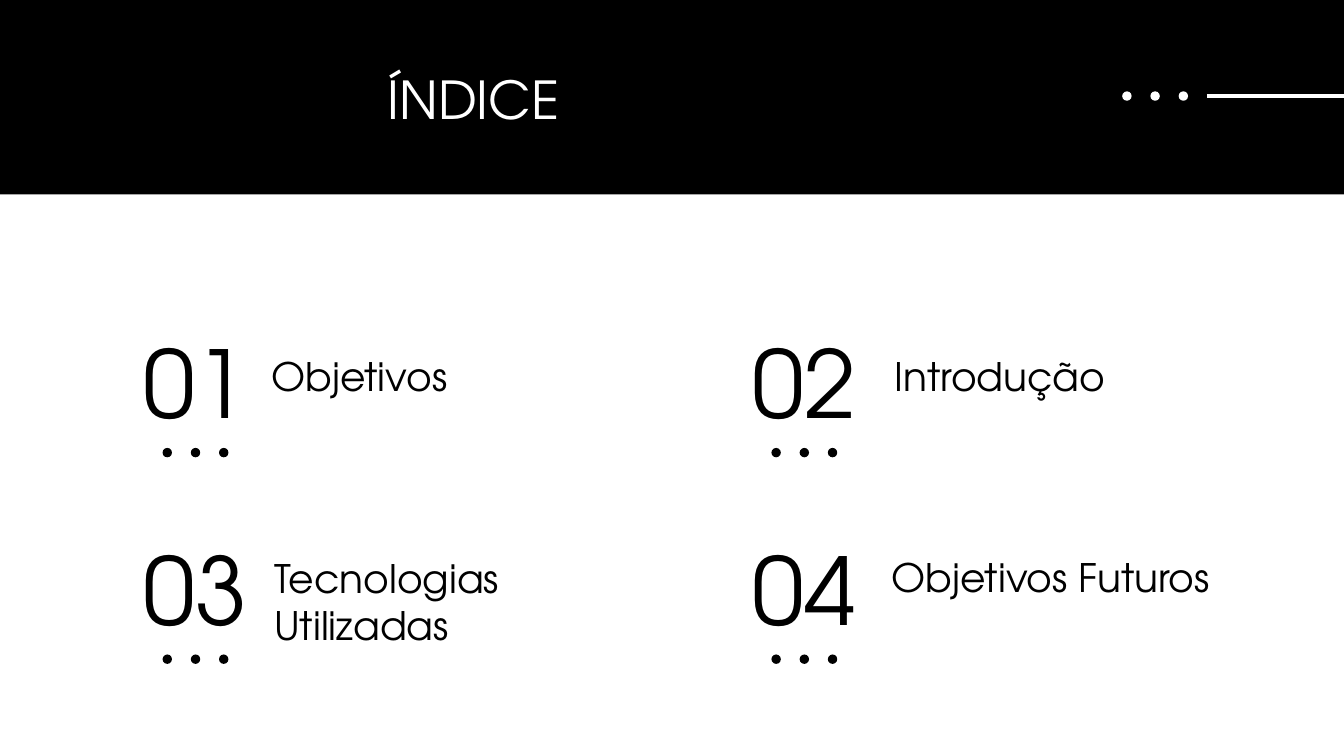
from lxml import etree
from pptx import Presentation
from pptx.dml.color import RGBColor
from pptx.enum.shapes import MSO_CONNECTOR, MSO_SHAPE
from pptx.enum.text import MSO_ANCHOR, MSO_AUTO_SIZE, PP_ALIGN
from pptx.oxml.ns import qn
from pptx.util import Inches, Pt

RECTANGLE, OVAL = MSO_SHAPE.RECTANGLE, MSO_SHAPE.OVAL
STRAIGHT = MSO_CONNECTOR.STRAIGHT
TOP, BOTTOM = MSO_ANCHOR.TOP, MSO_ANCHOR.BOTTOM
LEFT, CENTER = PP_ALIGN.LEFT, PP_ALIGN.CENTER
FIXED = MSO_AUTO_SIZE.NONE
COMPARISON = 4
BLACK, WHITE = "000000", "FFFFFF"
FONT = "TeX Gyre Adventor"
CELL = Inches(0.1)
COLUMNS, ROWS = 100, 56.25


def color(value):
    """Turn a hex string into a colour."""
    return RGBColor.from_string(value)


def apply(target, values):
    """Set each attribute of the target from a dict."""
    for name, value in values.items():
        setattr(target, name, value)


def cells(*lengths):
    """Turn grid cells into slide lengths."""
    return [round(length * CELL) for length in lengths]


class IndexSlide:
    """Hold the style and the current slide."""

    def __init__(self, presentation):
        """Add a slide with a title and four text placeholders."""
        self.slide = presentation.slides.add_slide(presentation.slide_layouts[COMPARISON])
        self.shapes = self.slide.shapes

    def text(self, shape, box, words, size, ink=BLACK, align=LEFT, anchor=TOP, indent=0):
        """Place and format one text shape."""
        apply(shape, dict(zip(("left", "top", "width", "height"), cells(*box))))
        frame = shape.text_frame
        margins = dict.fromkeys(
            ("margin_left", "margin_top", "margin_right", "margin_bottom"), CELL)
        apply(frame, {"text": words, "word_wrap": True, "auto_size": FIXED,
                      "vertical_anchor": anchor, **margins})
        paragraph = frame.paragraphs[0]
        apply(paragraph, {"alignment": align, "line_spacing": 1.0,
                          "space_before": Pt(0), "space_after": Pt(0)})
        properties = paragraph._p.get_or_add_pPr()
        properties.set("marL", str(cells(indent)[0]))
        properties.set("indent", "0")
        etree.SubElement(properties, qn("a:buNone"))
        font = paragraph.runs[0].font
        apply(font, {"name": FONT, "size": Pt(size), "bold": False})
        font.color.rgb = color(ink)

    def title(self, words, box, indent):
        """Fill the title placeholder."""
        self.text(self.shapes.title, box, words, 28, WHITE, indent=indent)

    def label(self, index, words, box):
        """Fill one text placeholder with an index entry."""
        self.text(self.slide.placeholders[index], box, words, 21)

    def number(self, words, box):
        """Add a large entry number."""
        self.text(self.shapes.add_textbox(0, 0, 0, 0), box, words, 50,
                  align=CENTER, anchor=BOTTOM)

    def shape(self, kind, box, fill):
        """Add a plain filled shape."""
        shape = self.shapes.add_shape(kind, *cells(*box))
        shape.shadow.inherit = False
        shape.fill.solid()
        shape.fill.fore_color.rgb = color(fill)
        shape.line.fill.background()
        return shape

    def band(self, box):
        """Add the header band behind everything else."""
        element = self.shape(RECTANGLE, box, BLACK)._element
        element.getparent().insert(2, element)

    def dots(self, left, top, fill=BLACK):
        """Add a row of three dots."""
        for step in range(3):
            self.shape(OVAL, (left + step * 2.1, top, 0.7, 0.7), fill)

    def rule(self, start, end, row):
        """Add a horizontal white line."""
        line = self.shapes.add_connector(STRAIGHT, *cells(start, row, end, row))
        line.line.color.rgb = color(WHITE)
        line.line.width = Pt(2.25)
        etree.SubElement(line._element.spPr, qn("a:effectLst"))


def main():
    """Build the index slide."""
    presentation = Presentation()
    apply(presentation, dict(zip(("slide_width", "slide_height"), cells(COLUMNS, ROWS))))
    index = IndexSlide(presentation)
    index.band((-0.2, -0.4, 100.2, 14.87))
    index.title("ÍNDICE", (7.9, 4, 84.2, 6.3), indent=19.95)
    index.dots(83.5, 6.8, WHITE)
    index.rule(89.8, 100.8, 7.15)
    entries = [("Objetivos", 19.2, 25.2), ("Introdução", 65.55, 25.2),
               ("Tecnologias Utilizadas", 19.4, 40.25), ("Objetivos Futuros", 65.35, 40.2)]
    for position, (words, left, top) in enumerate(entries):
        row, column = divmod(position, 2)
        across, down = column * 45.3, row * 15.37
        index.number(f"{position + 1:02}", (7.9 + across, 24.85 + down, 13.3, 8.7))
        index.label(position + 1, words, (left, top, 26.6, 4.9))
        index.dots(12.1 + across, 33.33 + down)
    presentation.save("out.pptx")


if __name__ == "__main__":
    main()
